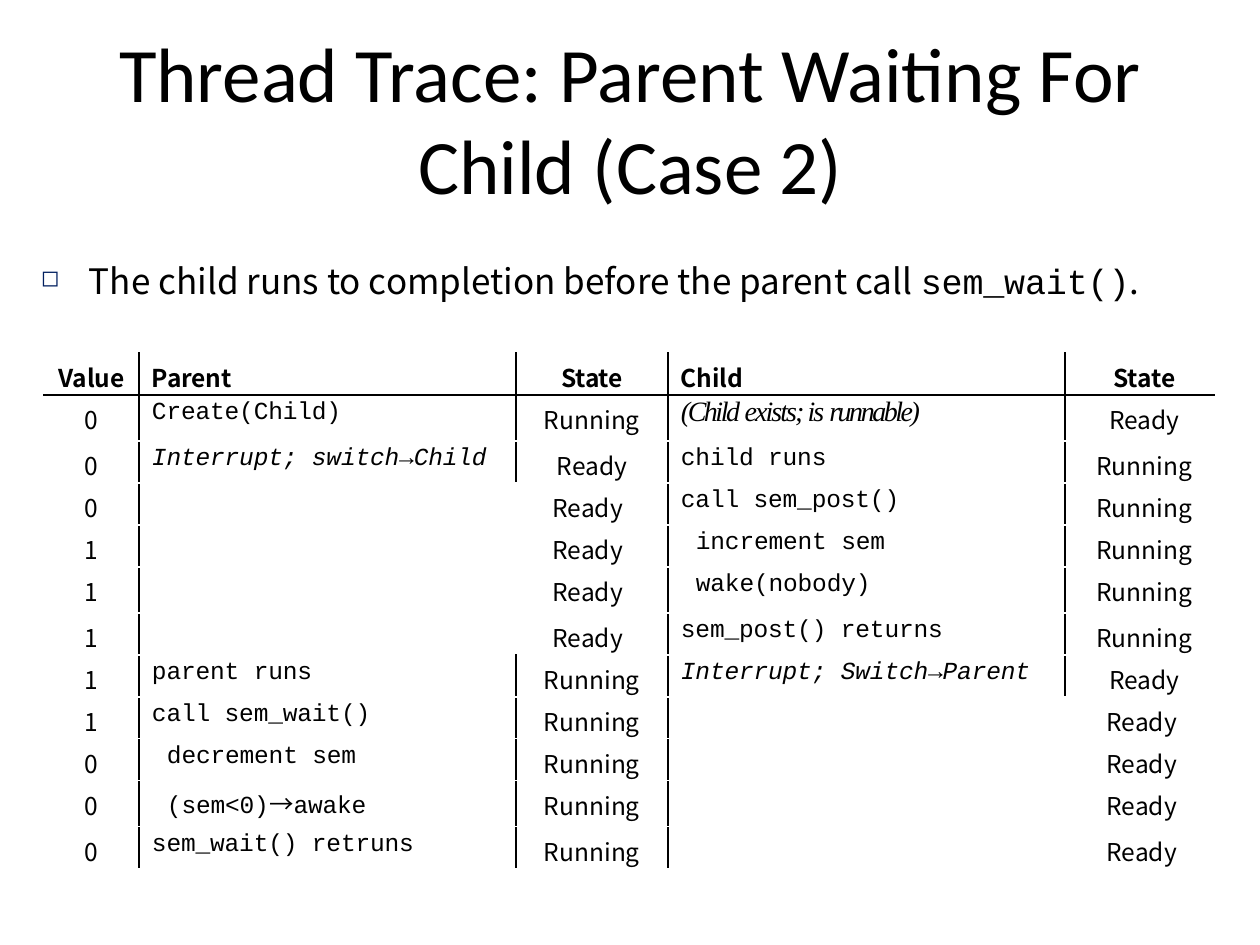
from lxml.etree import SubElement
from pptx import Presentation
from pptx.dml.color import RGBColor
from pptx.enum.text import MSO_ANCHOR, MSO_AUTO_SIZE, PP_ALIGN
from pptx.oxml.ns import qn
from pptx.util import Pt

SCALE = 914400 // 126  # EMU in one px
BLACK = RGBColor(0, 0, 0)
WHITE = RGBColor(255, 255, 255)
NAVY = RGBColor(0, 0x1F, 0x5F)
SANS, MONO, SERIF = "Noto Sans CJK KR", "Courier New", "Times New Roman"

TITLE = "Thread Trace: Parent Waiting For Child (Case 2)"
BULLET = [("The child runs to completion before the parent call ", SANS, 0),
          ("sem_wait()", MONO, -0.1), (".", SANS, -0.1)]

# A leading ">" marks a nested call; None joins the cell with the state after it.
HEADER = ("Value", "Parent", "State", "Child", "State")
TRACE = [
    ("0", "Create(Child)", "Running", "(Child exists; is runnable)", "Ready"),
    ("0", "Interrupt; switch→Child", "Ready", "child runs", "Running"),
    ("0", None, "Ready", "call sem_post()", "Running"),
    ("1", None, "Ready", ">increment sem", "Running"),
    ("1", None, "Ready", ">wake(nobody)", "Running"),
    ("1", None, "Ready", "sem_post() returns", "Running"),
    ("1", "parent runs", "Running", "Interrupt; Switch→Parent", "Ready"),
    ("1", "call sem_wait()", "Running", None, "Ready"),
    ("0", ">decrement sem", "Running", None, "Ready"),
    ("0", ">(sem<0)→awake", "Running", None, "Ready"),
    ("0", "sem_wait() retruns", "Running", None, "Ready"),
]
COLUMN_WIDTHS = (95, 377, 152, 397, 149)
ROW_HEIGHT, TALL_ROW_HEIGHT, TALL_ROWS = 42, 46, (1, 5, 10)
CODE_COLUMNS = (1, 3)
JOINED_RIGHT_INDENT = {1: 45, 3: 37}
CODE_INDENT, NESTED_INDENT, LAST_STATE_INDENT = 13, 28, 10


def px(length):
    return length * SCALE


def add_run(paragraph, text, font_name, size, spacing=0, **styles):
    run = paragraph.add_run()
    run.text = text
    formats = {"name": font_name, "size": Pt(size), "bold": False, "italic": False}
    for name, value in {**formats, **styles}.items():
        setattr(run.font, name, value)
    run.font.color.rgb = BLACK
    run.font._element.set("spc", str(round(spacing * 100)))


def format_paragraph(paragraph, alignment, space_before, **indents):
    paragraph.alignment = alignment
    paragraph.space_before = Pt(space_before)
    for name, length in indents.items():
        paragraph._p.get_or_add_pPr().set(name, str(px(length)))


def set_margins(target, top):
    for side in ("left", "right", "bottom"):
        setattr(target, f"margin_{side}", 0)
    target.margin_top = px(top)


def add_text_box(slide, left, top, width, height, anchor):
    frame = slide.shapes.add_textbox(*map(px, (left, top, width, height))).text_frame
    frame.word_wrap = True
    frame.auto_size = MSO_AUTO_SIZE.SHAPE_TO_FIT_TEXT
    frame.vertical_anchor = anchor
    set_margins(frame, 1)
    return frame.paragraphs[0]


def add_bullet(paragraph, character, color, percent):
    properties = paragraph._p.get_or_add_pPr()
    bullet_color = SubElement(properties, qn("a:buClr"))
    SubElement(bullet_color, qn("a:srgbClr"), val=str(color))
    SubElement(properties, qn("a:buSzPct"), val=str(percent * 1000))
    SubElement(properties, qn("a:buChar"), char=character)


def set_borders(cell, row, column, last_column):
    borders = {
        "lnL": (WHITE if column == 0 else BLACK, 1),
        "lnR": (WHITE if last_column else BLACK, 1),
        "lnT": (BLACK, 1.5) if row == 1 else (WHITE, 1),
        "lnB": (BLACK, 1.5) if row == 0 else (WHITE, 1),
    }
    properties = cell._tc.get_or_add_tcPr()
    for tag, (color, width) in borders.items():
        line = SubElement(properties, qn(f"a:{tag}"), w=str(Pt(width)))
        fill = SubElement(line, qn("a:solidFill"))
        SubElement(fill, qn("a:srgbClr"), val=str(color))


def fill_code_cell(cell, text):
    nested = text.startswith(">")
    text = text.lstrip(">")
    paragraph = cell.text_frame.paragraphs[0]
    format_paragraph(paragraph, PP_ALIGN.LEFT, 2,
                     marL=NESTED_INDENT if nested else CODE_INDENT)
    if text.startswith("(Child"):
        set_margins(cell, 2)
        for part, spacing in (("(Child ", -1.4), ("exists; is ", -1.1), ("runnable)", -1.4)):
            add_run(paragraph, part, SERIF, 16, spacing, italic=True)
        return
    set_margins(cell, 4)
    if nested and "→" in text:
        before, after = text.split("→")
        parts = [(before, MONO), ("→", SANS), (after, MONO)]
    else:
        parts = [(text, MONO)]
    for part, font_name in parts:
        add_run(paragraph, part, font_name, 14, -0.1, italic=text.startswith("Interrupt"))


def fill_label_cell(cell, text, alignment, bold=False, **indents):
    set_margins(cell, 6)
    paragraph = cell.text_frame.paragraphs[0]
    format_paragraph(paragraph, alignment, 3.5, **indents)
    add_run(paragraph, text, SANS, 14, -0.1 if bold else 0, bold=bold)


def add_trace_table(slide):
    rows = [HEADER, *TRACE]
    heights = [TALL_ROW_HEIGHT if row in TALL_ROWS else ROW_HEIGHT for row in range(len(rows))]
    last = len(HEADER) - 1
    table = slide.shapes.add_table(len(rows), len(HEADER), px(44), px(353),
                                   px(sum(COLUMN_WIDTHS)), px(sum(heights))).table
    table.first_row = table.horz_banding = False
    for table_column, width in zip(table.columns, COLUMN_WIDTHS):
        table_column.width = px(width)
    for row, (values, height) in enumerate(zip(rows, heights)):
        table.rows[row].height = px(height)
        for column, text in enumerate(values):
            cell = table.cell(row, column)
            if cell.is_spanned:
                set_margins(cell, 0)
                continue
            joined = text is None
            if joined:
                cell.merge(table.cell(row, column + 1))
                fill_label_cell(cell, values[column + 1], PP_ALIGN.RIGHT,
                                marR=JOINED_RIGHT_INDENT[column])
            elif row > 0 and column in CODE_COLUMNS:
                fill_code_cell(cell, text)
            elif column in CODE_COLUMNS:
                fill_label_cell(cell, text, PP_ALIGN.LEFT, bold=True, marL=CODE_INDENT)
            else:
                fill_label_cell(cell, text, PP_ALIGN.CENTER, bold=row == 0,
                                marL=LAST_STATE_INDENT if column == last else 0)
            set_borders(cell, row, column, column + joined == last)
            cell.fill.background()


def main():
    presentation = Presentation()
    presentation.slide_width, presentation.slide_height = px(1260), px(945)
    slide = presentation.slides.add_slide(presentation.slide_layouts[6])

    title = add_text_box(slide, 63, 23, 1134, 189, MSO_ANCHOR.MIDDLE)
    format_paragraph(title, PP_ALIGN.CENTER, 1, marL=1)
    add_run(title, TITLE, "Calibri", 44)

    bullet = add_text_box(slide, 40, 258, 1101, 45, MSO_ANCHOR.TOP)
    format_paragraph(bullet, PP_ALIGN.LEFT, 1, marL=49, indent=-48)
    add_bullet(bullet, "◻", NAVY, 65)
    for text, font_name, spacing in BULLET:
        add_run(bullet, text, font_name, 20, spacing)

    add_trace_table(slide)
    presentation.save("out.pptx")


if __name__ == "__main__":
    main()
